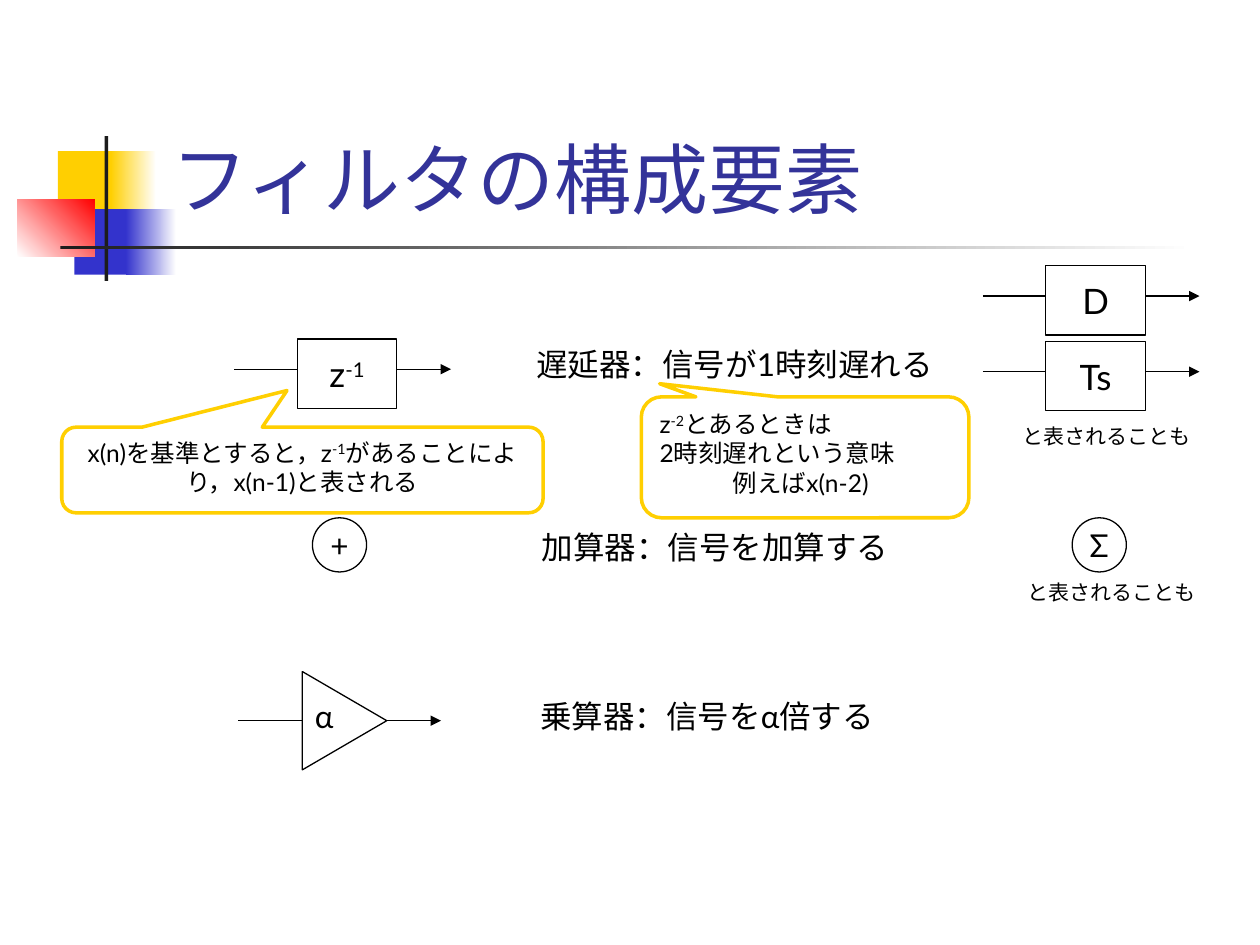
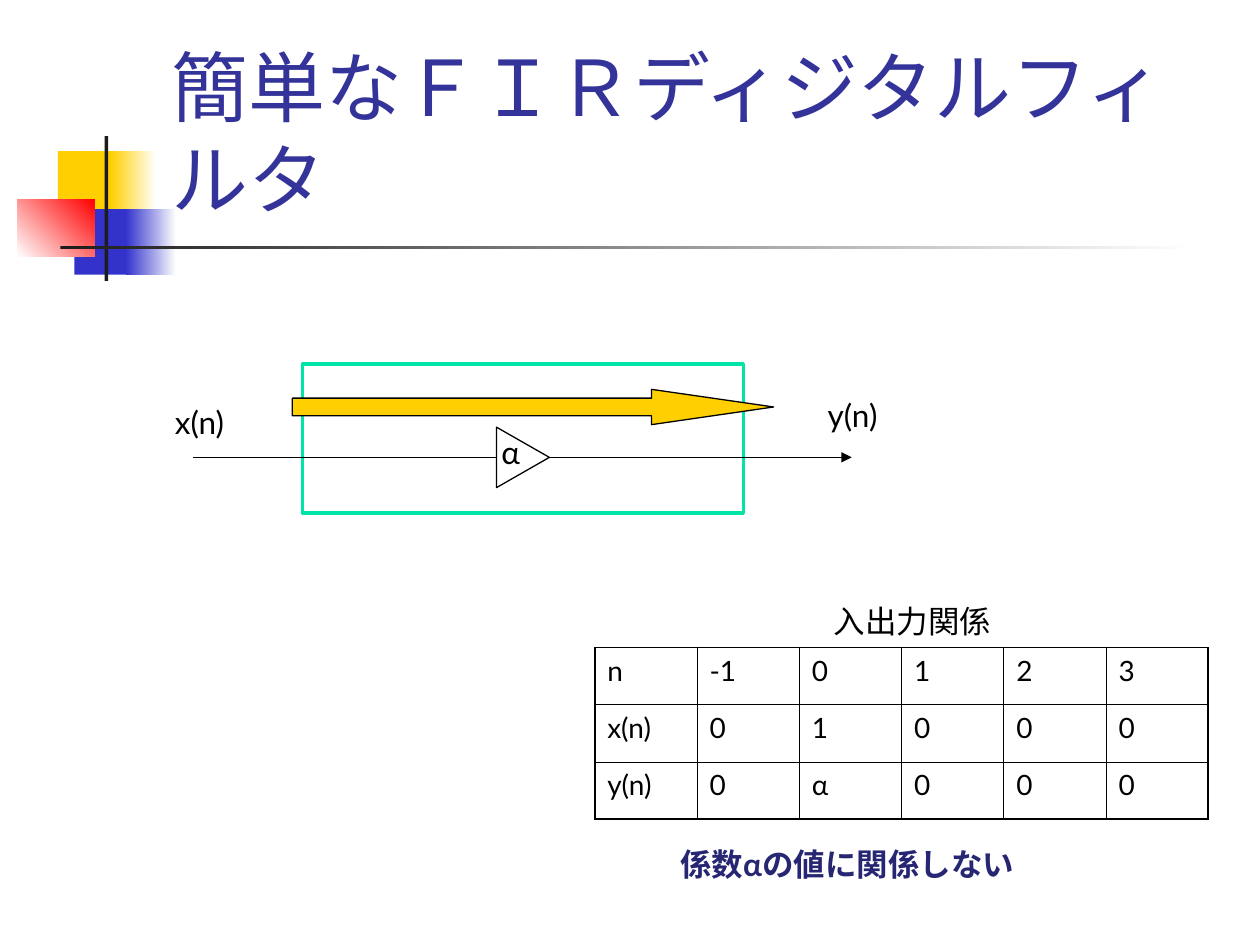
from lxml.etree import SubElement
from pptx import Presentation
from pptx.dml.color import RGBColor
from pptx.enum.shapes import MSO_CONNECTOR, MSO_SHAPE
from pptx.enum.text import MSO_ANCHOR, PP_ALIGN
from pptx.oxml.ns import qn
from pptx.util import Inches, Pt

FONT = "Lato"
BLACK = RGBColor(0x00, 0x00, 0x00)
WHITE = RGBColor(0xFF, 0xFF, 0xFF)
YELLOW = RGBColor(0xFF, 0xCF, 0x01)
BLUE = RGBColor(0x33, 0x33, 0xCC)
RED = RGBColor(0xFF, 0x00, 0x00)
CHARCOAL = RGBColor(0x1C, 0x1C, 0x1C)
TITLE_BLUE = RGBColor(0x33, 0x33, 0x99)
NAVY = RGBColor(0x26, 0x26, 0x73)
GREEN = RGBColor(0x00, 0xE4, 0xA8)

THIN, THICK = 0.75, 2
CELL_LINE, OUTER_LINE = 0.45, 1.08

# left, top, width, height, colours (two make a gradient), gradient angle
MOTIF = [
    (0.46, 1.2, 0.48, 0.52, (YELLOW,), 0),
    (0.88, 1.2, 0.36, 0.52, (YELLOW, WHITE), 0),
    (0.59, 1.66, 0.46, 0.52, (BLUE,), 0),
    (1, 1.66, 0.4, 0.52, (BLUE, WHITE), 0),
    (0.14, 1.58, 0.61, 0.46, (WHITE, RED), 45),
    (0.83, 1.08, 0.03, 1.15, (CHARCOAL,), 0),
    (0.48, 1.95, 9, 0.03, (CHARCOAL, WHITE), 0),
]
TITLE_AREA = (1.26, 0.23, 8.52, 1.6)

# Text between two ^ marks is superscript.
ELEMENTS_TITLE = "フィルタの構成要素"
DELAYS = [("z^-1^", 2.36, 2.69), ("D", 8.3, 2.11), ("Ts", 8.3, 2.71)]
ADDERS = [("+", 2.48), ("Σ", 8.51)]
ADDER_TOP, ADDER_SIZE = 4.11, 0.43
DESCRIPTIONS = [
    ("遅延器：信号が1時刻遅れる", (4.16, 2.69, 3.4, 0.4), True),
    ("加算器：信号を加算する", (4.2, 4.14, 2.95, 0.4), False),
    ("乗算器：信号をα倍する", (4.19, 5.48, 2.97, 0.4), False),
]
ALTERNATIVE = "と表されることも"
ALTERNATIVE_SPOTS = [(8.02, 3.31), (8.06, 4.55)]
CALLOUTS = [
    (["z^-2^とあるときは", "2時刻遅れという意味", "例えばx(n-2)"],
     (5.09, 3.15, 2.6, 0.96), (-0.444, -0.609, 0.167),
     {"align": PP_ALIGN.LEFT, "last_indent": 0.58}),
    (["x(n)を基準とすると，z^-1^があることにより，x(n-1)と表される"],
     (0.49, 3.39, 3.82, 0.68), (-0.032, -0.928, 0.167),
     {"align": PP_ALIGN.CENTER}),
]

FIR_TITLE = "簡単なＦＩＲディジタルフィルタ"
SIGNALS = [("x(n)", (1.29, 3.15, 0.63, 0.4)), ("y(n)", (6.47, 3.09, 0.63, 0.4))]
RESPONSE_CAPTION = "入出力関係"
RESPONSE = [
    ("n", "-1", "0", "1", "2", "3"),
    ("x(n)", "0", "1", "0", "0", "0"),
    ("y(n)", "0", "α", "0", "0", "0"),
]
RESPONSE_AREA = (4.72, 5.14, 4.87, 1.36)
CONCLUSION = "係数αの値に関係しない"


def inches(values):
    return [Inches(value) for value in values]


def write(frame, text, size=18, color=BLACK, bold=False, align=PP_ALIGN.LEFT,
          anchor=MSO_ANCHOR.TOP, wrap=False, last_indent=0):
    """Fill a text frame with one line of text or a list of paragraphs."""
    frame.word_wrap = wrap
    frame.vertical_anchor = anchor
    lines = [text] if isinstance(text, str) else text
    for number, line in enumerate(lines):
        paragraph = frame.paragraphs[0] if number == 0 else frame.add_paragraph()
        paragraph.alignment = align
        if last_indent and number == len(lines) - 1:
            paragraph._p.get_or_add_pPr().set("marL", str(Inches(last_indent)))
        for part, piece in enumerate(line.split("^")):
            if not piece:
                continue
            run = paragraph.add_run()
            run.text = piece
            run.font.name, run.font.size = FONT, Pt(size)
            run.font.bold = bold
            run.font.color.rgb = color
            if part % 2:
                run._r.get_or_add_rPr().set("baseline", "30000")


def label(slide, text, area, **style):
    write(slide.shapes.add_textbox(*inches(area)).text_frame, text, **style)


def finish(shape, fill=None, line=None, weight=THIN):
    shape.shadow.inherit = False
    if fill is None:
        shape.fill.background()
    else:
        shape.fill.solid()
        shape.fill.fore_color.rgb = fill
    if line is None:
        shape.line.fill.background()
    else:
        shape.line.color.rgb = line
        shape.line.width = Pt(weight)


def add_figure(slide, kind, area, adjustments=(), **look):
    shape = slide.shapes.add_shape(kind, *inches(area))
    for number, value in enumerate(adjustments):
        shape.adjustments[number] = value
    finish(shape, **look)
    return shape


def add_wire(slide, start, end, y, arrow=False):
    wire = slide.shapes.add_connector(
        MSO_CONNECTOR.STRAIGHT, *inches((start, y, end, y)))
    wire.line.color.rgb = BLACK
    wire.line.width = Pt(THIN)
    properties = wire._element.spPr
    if arrow:
        SubElement(properties.find(qn("a:ln")), qn("a:tailEnd"), type="triangle")
    SubElement(properties, qn("a:effectLst"))


def add_delay(slide, text, left, top):
    width, height, wire_y = 0.79, 0.55, top + 0.24
    box = add_figure(slide, MSO_SHAPE.RECTANGLE, (left, top, width, height), line=BLACK)
    write(box.text_frame, text, size=20, align=PP_ALIGN.CENTER, anchor=MSO_ANCHOR.MIDDLE)
    add_wire(slide, left + width, left + width + 0.43, wire_y, arrow=True)
    add_wire(slide, left - 0.5, left, wire_y)


def add_multiplier(slide, left, top, width, height, wire_start, wire_end, alpha_spot):
    """Draw a triangle gain block with its input and output wires."""
    middle, tip = top + height / 2, left + width
    outline = slide.shapes.build_freeform(Inches(left), Inches(top))
    outline.add_line_segments(
        [inches((tip, middle)), inches((left, top + height))], close=True)
    finish(outline.convert_to_shape(), line=BLACK)
    add_wire(slide, wire_start, left, middle)
    add_wire(slide, tip, wire_end, middle, arrow=True)
    label(slide, "α", (*alpha_spot, 0.55, 0.4), wrap=True)


def add_response_table(slide):
    rows, columns = len(RESPONSE), len(RESPONSE[0])
    frame = slide.shapes.add_table(rows, columns, *inches(RESPONSE_AREA))
    table = frame.table
    table.first_row = table.horz_banding = False
    for column in table.columns:
        column.width = Inches(RESPONSE_AREA[2] / columns)
    for row in table.rows:
        row.height = Inches(RESPONSE_AREA[3] / rows)
    for r, values in enumerate(RESPONSE):
        for c, value in enumerate(values):
            cell = table.cell(r, c)
            write(cell.text_frame, value, size=16, wrap=True)
            cell.fill.background()
            on_edge = {"lnL": c == 0, "lnR": c == columns - 1,
                       "lnT": r == 0, "lnB": r == rows - 1}
            set_borders(cell, on_edge)


def set_borders(cell, on_edge):
    properties = cell._tc.get_or_add_tcPr()
    for position, (side, outer) in enumerate(on_edge.items()):
        weight = OUTER_LINE if outer else CELL_LINE
        border = SubElement(properties, qn(f"a:{side}"), w=str(Pt(weight)))
        fill = SubElement(border, qn("a:solidFill"))
        SubElement(fill, qn("a:srgbClr"), val=str(BLACK))
        properties.insert(position, border)


def add_titled_slide(deck, title):
    slide = deck.slides.add_slide(deck.slide_layouts[6])
    for *area, colors, angle in MOTIF:
        block = add_figure(slide, MSO_SHAPE.RECTANGLE, area, fill=colors[0])
        if len(colors) == 2:
            block.fill.gradient()
            block.fill.gradient_angle = angle
            for stop, color in zip(block.fill.gradient_stops, colors):
                stop.color.rgb = color
    label(slide, title, TITLE_AREA, size=44, color=TITLE_BLUE,
          anchor=MSO_ANCHOR.BOTTOM, wrap=True)
    return slide


def build_elements_slide(deck):
    slide = add_titled_slide(deck, ELEMENTS_TITLE)
    for text, left, top in DELAYS:
        add_delay(slide, text, left, top)
    for sign, left in ADDERS:
        circle = add_figure(slide, MSO_SHAPE.OVAL,
                            (left, ADDER_TOP, ADDER_SIZE, ADDER_SIZE), line=BLACK)
        write(circle.text_frame, sign, align=PP_ALIGN.CENTER, anchor=MSO_ANCHOR.MIDDLE)
    add_multiplier(slide, 2.4, 5.33, 0.67, 0.78, 1.89, 3.5, (2.4, 5.48))
    for text, area, wrap in DESCRIPTIONS:
        label(slide, text, area, wrap=wrap)
    for spot in ALTERNATIVE_SPOTS:
        label(slide, ALTERNATIVE, (*spot, 1.53, 0.3), size=12)
    for lines, area, pointer, style in CALLOUTS:
        callout = add_figure(slide, MSO_SHAPE.ROUNDED_RECTANGULAR_CALLOUT, area, pointer,
                             fill=WHITE, line=YELLOW, weight=THICK)
        write(callout.text_frame, lines, size=14, wrap=True, **style)


def build_fir_slide(deck):
    slide = add_titled_slide(deck, FIR_TITLE)
    add_figure(slide, MSO_SHAPE.RECTANGLE, (2.4, 2.89, 3.5, 1.18),
               fill=WHITE, line=GREEN, weight=THICK)
    add_multiplier(slide, 3.94, 3.39, 0.42, 0.48, 1.53, 6.76, (3.88, 3.39))
    for text, area in SIGNALS:
        label(slide, text, area)
    add_figure(slide, MSO_SHAPE.RIGHT_ARROW, (2.32, 3.09, 3.82, 0.28), (0.5, 3.46),
               fill=YELLOW, line=BLACK)
    add_response_table(slide)
    label(slide, RESPONSE_CAPTION, (6.52, 4.73, 1.45, 0.4))
    label(slide, CONCLUSION, (5.3, 6.66, 2.98, 0.4), color=NAVY, bold=True)


def main():
    deck = Presentation()
    deck.slide_width, deck.slide_height = inches((10, 7.5))
    build_elements_slide(deck)
    build_fir_slide(deck)
    deck.save("out.pptx")


if __name__ == "__main__":
    main()
